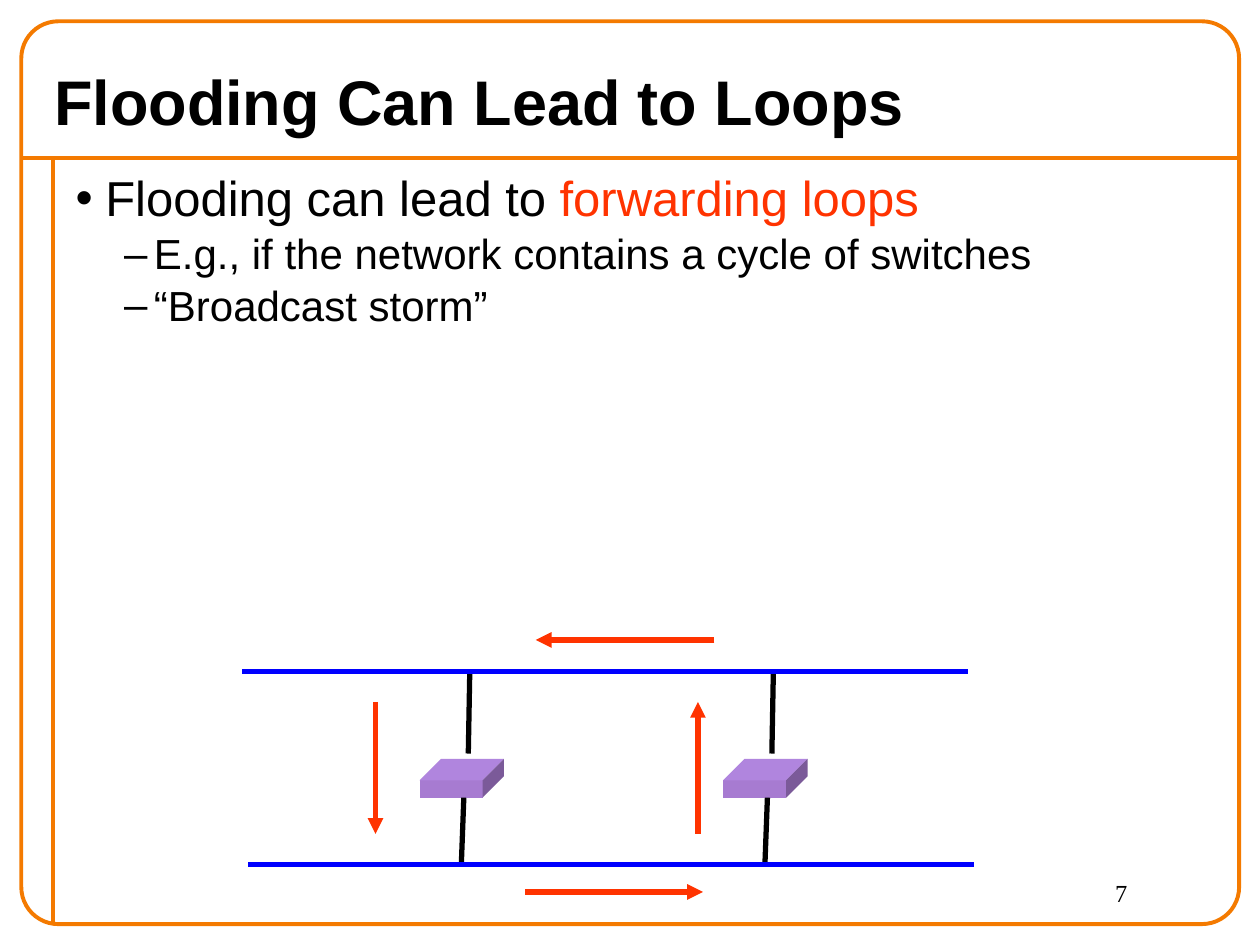
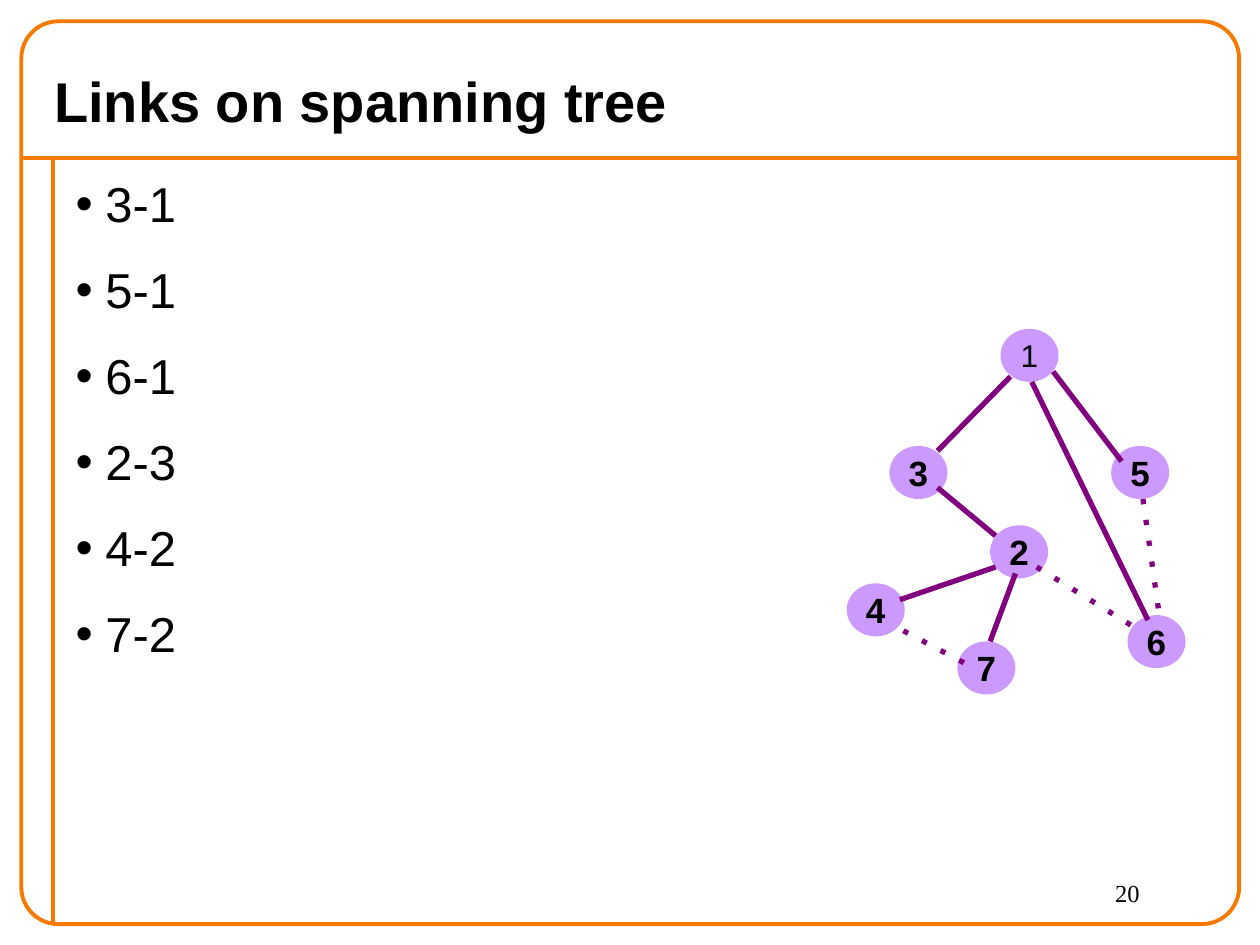
"""Build two slides on forwarding loops and spanning trees."""
from lxml import etree
from pptx import Presentation
from pptx.dml.color import RGBColor
from pptx.enum.shapes import MSO_CONNECTOR, MSO_SHAPE
from pptx.enum.text import MSO_ANCHOR, MSO_AUTO_SIZE, PP_ALIGN
from pptx.oxml.ns import qn
from pptx.util import Cm, Pt

STRAIGHT = MSO_CONNECTOR.STRAIGHT
ROUND_RECT, OVAL = MSO_SHAPE.ROUNDED_RECTANGLE, MSO_SHAPE.OVAL
MIDDLE, LEFT, CENTER = MSO_ANCHOR.MIDDLE, PP_ALIGN.LEFT, PP_ALIGN.CENTER
NO_FIT = MSO_AUTO_SIZE.NONE

ORANGE, BLACK, BLUE, RED = "F47A00", "000000", "0000FF", "FF3300"
LILAC, PURPLE = "CC99FF", "800080"
FRONT, TOP, SIDE = "A77BD1", "B085DE", "7B5A99"

FRAME = (0.43, 0.43, 24.55, 18.2)
TITLE_BOX = (0.84, 1.07, 23.93, 1.9)
NUMBER_BOX = (22.23, 17.58, 2.54, 1.07)
RULES = [(0.43, 3.18, 24.97, 3.18), (1.07, 3.18, 1.07, 18.62)]

SWITCH_W, SWITCH_H, DEPTH = 1.27, 0.35, 0.43
SWITCH_Y, TOP_BUS, BOTTOM_BUS = 15.73, 13.54, 17.42
SWITCHES = [8.46, 14.58]
BUSES = [(4.88, TOP_BUS), (5.0, BOTTOM_BUS)]
BUS_LENGTH = 14.63
LOOP_ARROWS = [(7.57, 14.15, 7.57, 16.81), (14.07, 16.81, 14.07, 14.15),
               (10.59, 17.98, 14.17, 17.98), (14.4, 12.9, 10.8, 12.9)]

NODES = {"1": (20.17, 6.63), "3": (17.93, 8.99), "5": (22.4, 8.99),
         "2": (19.96, 10.59), "6": (22.73, 12.4), "4": (17.07, 11.76),
         "7": (19.3, 12.93)}
TREE_LINKS = [(20.37, 7.59, 18.9, 9.09), (21.23, 7.49, 22.61, 9.3),
              (18.9, 9.83, 20.07, 10.8), (20.8, 7.7, 23.14, 12.5),
              (18.14, 12.09, 20.07, 11.43), (19.96, 12.93, 20.47, 11.56)]
SPARE_LINKS = [(20.9, 11.43, 22.83, 12.62), (23.04, 10.06, 23.37, 12.4),
               (19.43, 13.36, 18.03, 12.62)]


def rgb(hex_color):
    return RGBColor.from_string(hex_color)


def apply(target, formats):
    for name, value in formats.items():
        setattr(target, name, value)


def place(sp, box):
    apply(sp, dict(zip(("left", "top", "width", "height"), map(Cm, box))))


def add_run(p, text, size, color=BLACK, name="Arial", bold=False):
    r = p.add_run()
    r.text = text
    apply(r.font, {"size": Pt(size), "name": name, "bold": bold})
    r.font.color.rgb = rgb(color)


def add_line(slide, ends, color, width=3, dash=None, arrow=False):
    c = slide.shapes.add_connector(STRAIGHT, *map(Cm, ends))
    c.line.color.rgb = rgb(color)
    c.line.width = Pt(width)
    spPr = c._element.spPr
    ln = spPr.find(qn("a:ln"))
    if dash:
        etree.SubElement(ln, qn("a:prstDash"), val=dash)
    if arrow:
        etree.SubElement(ln, qn("a:tailEnd"), type="triangle")
    etree.SubElement(spPr, qn("a:effectLst"))


def add_frame(slide):
    for rule in RULES:
        add_line(slide, rule, ORANGE, 2.25)
    sp = slide.shapes.add_shape(ROUND_RECT, *map(Cm, FRAME))
    sp.adjustments[0] = 0.041
    sp.shadow.inherit = False
    sp.fill.background()
    sp.line.color.rgb = rgb(ORANGE)
    sp.line.width = Pt(2.25)


def new_slide(prs, title, title_size, number):
    slide = prs.slides.add_slide(prs.slide_layouts[1])
    add_frame(slide)
    sp = slide.shapes.title
    place(sp, TITLE_BOX)
    tf = sp.text_frame
    apply(tf, {"vertical_anchor": MIDDLE, "auto_size": NO_FIT})
    tf.paragraphs[0].alignment = LEFT
    add_run(tf.paragraphs[0], title, title_size, bold=True)
    sp = slide.shapes.add_textbox(*map(Cm, NUMBER_BOX))
    sp.text_frame.word_wrap = True
    add_run(sp.text_frame.paragraphs[0], number, 14, name="Times New Roman")
    return slide


def fill_body(slide, box, items, line_spacing):
    """Write (level, runs) items, each run being (text, color)."""
    sp = slide.placeholders[1]
    place(sp, box)
    tf = sp.text_frame
    tf.auto_size = NO_FIT
    for i, (level, runs) in enumerate(items):
        p = tf.add_paragraph() if i else tf.paragraphs[0]
        size, space, margin = ((28, 15.5, 0.6), (24, 3.7, 1.58))[level]
        pPr = p._p.get_or_add_pPr()
        pPr.set("marL", str(Cm(margin)))
        pPr.set("indent", str(Cm(-0.6)))
        apply(p, {"level": level, "line_spacing": line_spacing,
                  "space_before": Pt(space if i else 0)})
        for text, color in runs:
            add_run(p, text, size, color)


def add_face(slide, points, color):
    points = [(Cm(x), Cm(y)) for x, y in points]
    builder = slide.shapes.build_freeform(*points[0])
    builder.add_line_segments(points[1:], close=True)
    sp = builder.convert_to_shape()
    sp.shadow.inherit = False
    sp.fill.solid()
    sp.fill.fore_color.rgb = rgb(color)
    sp.line.fill.background()


def add_switch(slide, x):
    right, bottom, back = x + SWITCH_W, SWITCH_Y + SWITCH_H, SWITCH_Y - DEPTH
    a, b = (x, SWITCH_Y), (right, SWITCH_Y)
    c, d = (right, bottom), (x, bottom)
    back_left, back_right = (x + DEPTH, back), (right + DEPTH, back)
    add_face(slide, [a, b, c, d], FRONT)
    add_face(slide, [a, back_left, back_right, b], TOP)
    add_face(slide, [b, back_right, (right + DEPTH, bottom - DEPTH), c], SIDE)
    add_line(slide, (x + 1.01, TOP_BUS, x + 0.98, 15.19), BLACK)
    add_line(slide, (x + 0.89, bottom, x + 0.84, BOTTOM_BUS), BLACK)


def add_node(slide, label, x, y):
    sp = slide.shapes.add_shape(OVAL, Cm(x), Cm(y), Cm(1.17), Cm(1.07))
    sp.shadow.inherit = False
    sp.fill.solid()
    sp.fill.fore_color.rgb = rgb(LILAC)
    sp.line.fill.background()
    tf = sp.text_frame
    apply(tf, {"word_wrap": False, "vertical_anchor": MIDDLE, "margin_left": 0,
               "margin_right": 0, "margin_top": 0, "margin_bottom": 0})
    tf.paragraphs[0].alignment = CENTER
    is_root = label == "1"
    add_run(tf.paragraphs[0], label, 18 if is_root else 20, bold=not is_root)


def build_loops(prs):
    slide = new_slide(prs, "Flooding Can Lead to Loops", 36, "7")
    fill_body(slide, (1.27, 3.38, 23.5, 9.1), [
        (0, [("Flooding can lead to ", BLACK), ("forwarding loops", RED)]),
        (1, [("E.g., if the network contains a cycle of switches", BLACK)]),
        (1, [("“Broadcast storm”", BLACK)]),
    ], 0.9)
    for x in SWITCHES:
        add_switch(slide, x)
    for x, y in BUSES:
        add_line(slide, (x, y, x + BUS_LENGTH, y), BLUE)
    for ends in LOOP_ARROWS:
        add_line(slide, ends, RED, arrow=True)


def build_tree(prs):
    slide = new_slide(prs, "Links on spanning tree", 32, "20")
    links = ["3-1", "5-1", "6-1", "2-3", "4-2", "7-2"]
    fill_body(slide, (1.27, 3.38, 16.36, 15.24),
              [(0, [(link, BLACK)]) for link in links], 1.0)
    for label, (x, y) in NODES.items():
        add_node(slide, label, x, y)
    for ends in TREE_LINKS:
        add_line(slide, ends, PURPLE)
    for ends in SPARE_LINKS:
        add_line(slide, ends, PURPLE, dash="dot")


def main():
    prs = Presentation()
    prs.slide_width, prs.slide_height = Cm(25.4), Cm(19.05)
    build_loops(prs)
    build_tree(prs)
    prs.save("out.pptx")


if __name__ == "__main__":
    main()
